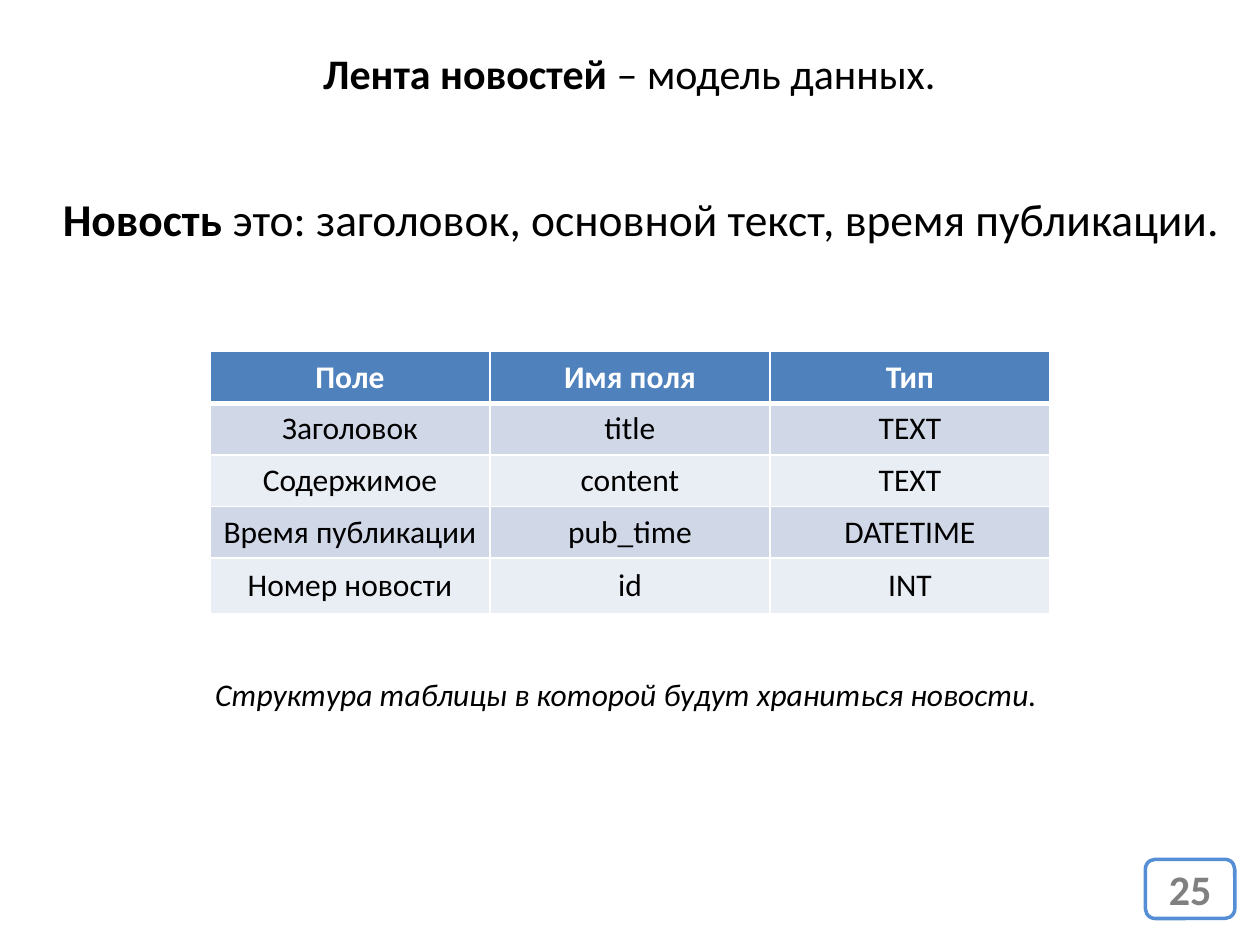
from dataclasses import dataclass

from lxml import etree
from pptx import Presentation
from pptx.dml.color import RGBColor
from pptx.enum.shapes import MSO_SHAPE
from pptx.enum.text import MSO_ANCHOR, MSO_AUTO_SIZE, PP_ALIGN
from pptx.oxml.ns import qn
from pptx.slide import Slide
from pptx.table import _Cell
from pptx.text.text import _Paragraph
from pptx.util import Inches, Pt

CENTER, LEFT = PP_ALIGN.CENTER, PP_ALIGN.LEFT
MIDDLE = MSO_ANCHOR.MIDDLE
GROW = MSO_AUTO_SIZE.SHAPE_TO_FIT_TEXT
ROUNDED = MSO_SHAPE.ROUNDED_RECTANGLE

SLIDE_WIDTH, SLIDE_HEIGHT = Inches(10), Inches(7.5)


@dataclass(frozen=True)
class Theme:
    font: str = "Calibri"
    text: str = "000000"
    white: str = "FFFFFF"
    header: str = "4F81BD"
    bands: tuple[str, str] = ("D0D8E8", "E9EDF4")
    badge_line: str = "558ED5"
    badge_text: str = "808080"
    title_size: int = 24
    lead_size: int = 26
    body_size: int = 18
    thin_border: int = 1
    header_border: int = 3


THEME = Theme()


@dataclass(frozen=True)
class Box:
    """Left, top, width and height in inches."""
    left: float
    top: float
    width: float
    height: float

    def lengths(self) -> list[int]:
        return [Inches(v) for v in (self.left, self.top, self.width, self.height)]


@dataclass(frozen=True)
class TextLine:
    box: Box
    size: int
    bold: str = ""
    regular: str = ""
    italic: bool = False
    align: PP_ALIGN = LEFT


TEXT_LINES = [
    TextLine(Box(2.44, 0.33, 5.11, 0.5), THEME.title_size,
             "Лента новостей ", "– модель данных.", align=CENTER),
    TextLine(Box(0.4, 1.47, 9.55, 0.54), THEME.lead_size,
             "Новость", " это: заголовок, основной текст, время публикации."),
    TextLine(Box(1.61, 5.31, 6.79, 0.4), THEME.body_size,
             regular="Структура таблицы в которой будут храниться новости.",
             italic=True),
]

FIELD_ROWS = [
    ("Поле", "Имя поля", "Тип"),
    ("Заголовок", "title", "TEXT"),
    ("Содержимое", "content", "TEXT"),
    ("Время публикации", "pub_time", "DATETIME"),
    ("Номер новости", "id", "INT"),
]
TABLE_WIDTH = SLIDE_WIDTH * 2 // 3
TABLE_TOP = Inches(2.79)
ROW_HEIGHT, LAST_ROW_HEIGHT = Inches(0.41), Inches(0.44)

BADGE = Box(9.09, 6.82, 0.71, 0.47)


def style(paragraph: _Paragraph, size: int, color: str,
          align: PP_ALIGN = CENTER) -> None:
    paragraph.alignment = align
    paragraph.font.name = THEME.font
    paragraph.font.size = Pt(size)
    paragraph.font.color.rgb = RGBColor.from_string(color)


def add_text_line(slide: Slide, line: TextLine) -> None:
    frame = slide.shapes.add_textbox(*line.box.lengths()).text_frame
    frame.word_wrap = False
    frame.auto_size = GROW
    paragraph = frame.paragraphs[0]
    style(paragraph, line.size, THEME.text, line.align)
    paragraph.font.italic = line.italic
    for text, bold in ((line.bold, True), (line.regular, False)):
        if text:
            run = paragraph.add_run()
            run.text = text
            run.font.bold = bold


def add_borders(cell: _Cell, top: int, bottom: int) -> None:
    properties = cell._tc.get_or_add_tcPr()
    widths = {"a:lnL": THEME.thin_border, "a:lnR": THEME.thin_border,
              "a:lnT": top, "a:lnB": bottom}
    for tag, width in widths.items():
        border = etree.SubElement(properties, qn(tag), w=str(Pt(width)))
        fill = etree.SubElement(border, qn("a:solidFill"))
        etree.SubElement(fill, qn("a:srgbClr"), val=THEME.white)


def add_field_table(slide: Slide) -> None:
    row_count, column_count = len(FIELD_ROWS), len(FIELD_ROWS[0])
    height = ROW_HEIGHT * (row_count - 1) + LAST_ROW_HEIGHT
    left = (SLIDE_WIDTH - TABLE_WIDTH) // 2
    table = slide.shapes.add_table(row_count, column_count, left, TABLE_TOP,
                                   TABLE_WIDTH, height).table
    for row in table.rows:
        row.height = ROW_HEIGHT
    table.rows[row_count - 1].height = LAST_ROW_HEIGHT

    for r, values in enumerate(FIELD_ROWS):
        is_header = r == 0
        top = THEME.header_border if r == 1 else THEME.thin_border
        bottom = THEME.header_border if is_header else THEME.thin_border
        fill = THEME.header if is_header else THEME.bands[(r - 1) % 2]
        for c, value in enumerate(values):
            cell = table.cell(r, c)
            cell.text = value
            cell.vertical_anchor = MIDDLE
            add_borders(cell, top, bottom)
            cell.fill.solid()
            cell.fill.fore_color.rgb = RGBColor.from_string(fill)
            paragraph = cell.text_frame.paragraphs[0]
            style(paragraph, THEME.body_size,
                  THEME.white if is_header else THEME.text)
            paragraph.font.bold = is_header


def add_page_badge(slide: Slide, number: int) -> None:
    badge = slide.shapes.add_shape(ROUNDED, *BADGE.lengths())
    badge.shadow.inherit = False
    badge.fill.solid()
    badge.fill.fore_color.rgb = RGBColor.from_string(THEME.white)
    badge.line.color.rgb = RGBColor.from_string(THEME.badge_line)
    badge.line.width = Pt(2)
    frame = badge.text_frame
    frame.vertical_anchor = MIDDLE
    paragraph = frame.paragraphs[0]
    paragraph.text = str(number)
    style(paragraph, THEME.title_size, THEME.badge_text)
    paragraph.font.bold = True


def main() -> None:
    presentation = Presentation()
    presentation.slide_width = SLIDE_WIDTH
    presentation.slide_height = SLIDE_HEIGHT
    slide = presentation.slides.add_slide(presentation.slide_layouts[6])

    # Title, lead sentence and table caption
    for line in TEXT_LINES:
        add_text_line(slide, line)

    # Data model of a news item
    add_field_table(slide)

    # Page number
    add_page_badge(slide, 25)

    presentation.save("out.pptx")


if __name__ == "__main__":
    main()
